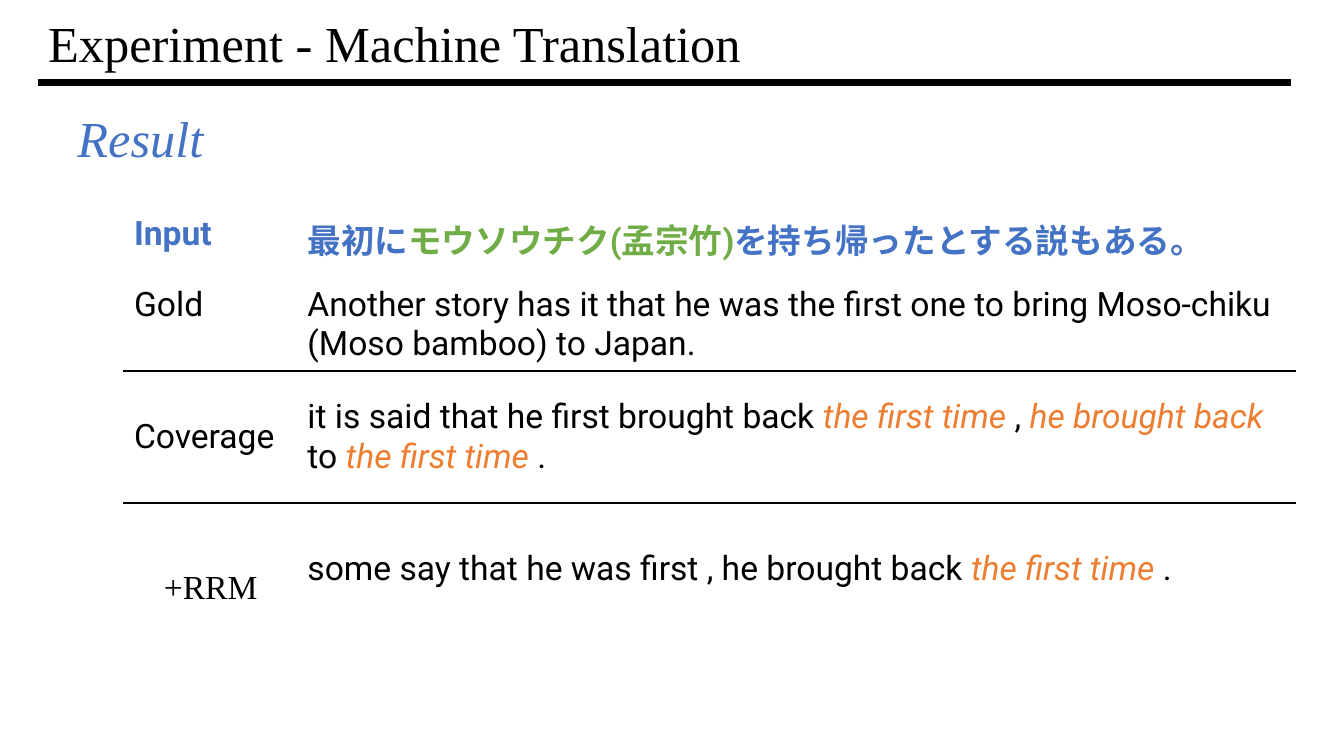
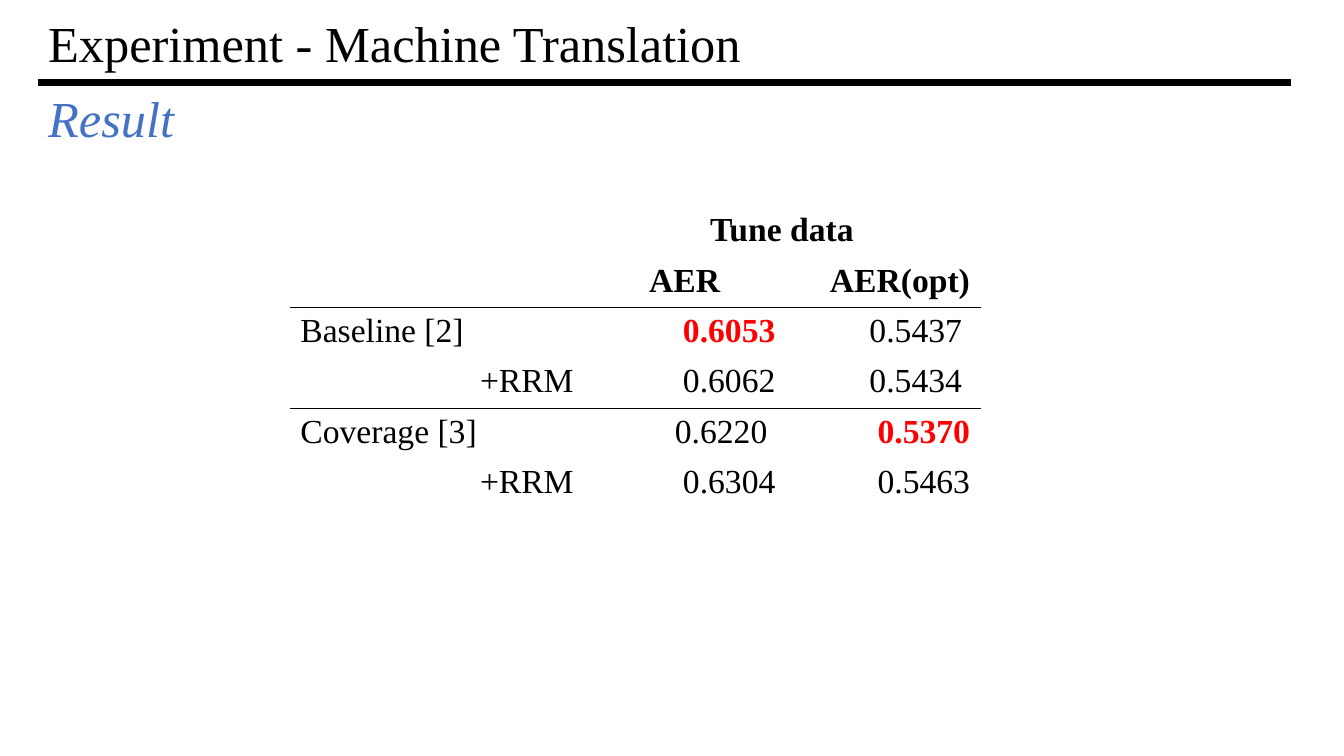
import pptx
import pptx.dml.color
import pptx.enum.shapes
import pptx.enum.text
import pptx.oxml
import pptx.oxml.ns
import pptx.util

Inches = pptx.util.Inches
ALIGN = pptx.enum.text.PP_ALIGN
ANCHOR = pptx.enum.text.MSO_ANCHOR
SERIF, SANS = "Times New Roman", "Roboto"
BLACK, WHITE, BLUE = "000000", "FFFFFF", "4472C4"
GREEN, ORANGE, RED = "70AD47", "ED7D31", "FF0000"


def color(value):
    return pptx.dml.color.RGBColor.from_string(value)


def write(frame, content, size=24, font=SERIF, ink=BLACK, bold=False, italic=False,
          align=ALIGN.LEFT, spacing=None):
    paragraph = frame.paragraphs[0]
    paragraph.alignment = align
    paragraph.line_spacing = spacing
    parts = [(content, {})] if isinstance(content, str) else content
    for words, changes in parts:
        look = {"ink": ink, "bold": bold, "italic": italic, **changes}
        run = paragraph.add_run()
        run.text = words
        run.font.size = pptx.util.Pt(size)
        run.font.name = font
        run.font.bold = look["bold"]
        run.font.italic = look["italic"]
        run.font.color.rgb = color(look["ink"])


def rule_cell(cell, side):
    border = pptx.oxml.parse_xml(
        f'<a:{side} {pptx.oxml.ns.nsdecls("a")} w="12700"><a:solidFill>'
        f'<a:srgbClr val="{BLACK}"/></a:solidFill></a:{side}>')
    properties = cell._tc.get_or_add_tcPr()
    position = 1 if properties.find(pptx.oxml.ns.qn("a:lnT")) is not None else 0
    properties.insert(position, border)


class Deck:
    def __init__(self):
        self.presentation = pptx.Presentation()
        self.presentation.slide_width = Inches(13.33)
        self.presentation.slide_height = Inches(7.5)
        self.slide = None

    def start(self, title):
        self.slide = self.presentation.slides.add_slide(self.presentation.slide_layouts[6])
        self.line(0.38, 0.82, 12.8, 0.82, 4.5)
        self.text(0.38, 0.18, 8.74, 0.56, title, size=36, spacing=0.9)

    def line(self, x1, y1, x2, y2, width):
        rule = self.slide.shapes.add_connector(
            pptx.enum.shapes.MSO_CONNECTOR.STRAIGHT,
            Inches(x1), Inches(y1), Inches(x2), Inches(y2))
        rule.line.color.rgb = color(BLACK)
        rule.line.width = pptx.util.Pt(width)
        rule._element.spPr.append(
            pptx.oxml.parse_xml(f'<a:effectLst {pptx.oxml.ns.nsdecls("a")}/>'))

    def text(self, x, y, width, height, content, **look):
        frame = self.slide.shapes.add_textbox(
            Inches(x), Inches(y), Inches(width), Inches(height)).text_frame
        frame.word_wrap = True
        frame.vertical_anchor = ANCHOR.MIDDLE
        write(frame, content, **look)

    def subtitle(self, x, y, content):
        self.text(x, y, 1.46, 0.71, content, size=36, ink=BLUE, italic=True)

    def table(self, x, y, widths, heights, ruled_rows):
        grid = self.slide.shapes.add_table(
            len(heights), len(widths), Inches(x), Inches(y),
            Inches(sum(widths)), Inches(sum(heights))).table
        grid.first_row = grid.horz_banding = False
        for column, width in zip(grid.columns, widths):
            column.width = Inches(width)
        for index, height in enumerate(heights):
            grid.rows[index].height = Inches(height)
            for cell in grid.rows[index].cells:
                cell.fill.solid()
                cell.fill.fore_color.rgb = color(WHITE)
                if index - 1 in ruled_rows:
                    rule_cell(cell, "lnT")
                if index in ruled_rows:
                    rule_cell(cell, "lnB")
        return grid


def build_examples(deck):
    deck.start("Experiment - Machine Translation")
    deck.subtitle(0.67, 1.01, "Result")
    repeated = {"ink": ORANGE, "italic": True}
    heading = {"ink": BLUE, "bold": True}
    examples = [
        ("Input", [("最初に", {}), ("モウソウチク(孟宗竹)", {"ink": GREEN}),
                   ("を持ち帰ったとする説もある。", {})], heading),
        ("Gold", "Another story has it that he was the first one to bring "
                 "Moso-chiku (Moso bamboo) to Japan.", {}),
        ("Coverage", [("it is said that he first brought back ", {}),
                      ("the first time ", repeated), (", ", {}),
                      ("he brought back ", repeated), ("to ", {}),
                      ("the first time ", repeated), (".", {})], {}),
        ("+RRM", [("some say that he was first , he brought back ", {}),
                  ("the first time ", repeated), (".", {})], {}),
    ]
    grid = deck.table(1.23, 2.08, [1.72, 9.9], [0.7, 0.88, 1.31, 1.31], (1, 2))
    for index, (system, sentence, look) in enumerate(examples):
        label, output = grid.rows[index].cells
        if index >= 2:
            label.vertical_anchor = output.vertical_anchor = ANCHOR.MIDDLE
        if system == "+RRM":
            label.margin_top = Inches(0.42)
            write(label.text_frame, system, align=ALIGN.CENTER)
        else:
            write(label.text_frame, system, font=SANS, **look)
        write(output.text_frame, sentence, font=SANS, **look)


def build_scores(deck):
    deck.start("Experiment - Machine Translation")
    deck.subtitle(0.38, 0.81, "Result")
    grid = deck.table(2.88, 2.05, [2.91, 2, 1.93], [0.5] * 6, (1, 3))
    grid.cell(0, 1).merge(grid.cell(0, 2))
    headings = [(0, 1, "Tune data", ALIGN.CENTER), (1, 1, "AER", ALIGN.CENTER),
                (1, 2, "AER(opt)", ALIGN.RIGHT)]
    for row, column, heading, align in headings:
        write(grid.cell(row, column).text_frame, heading, bold=True, align=align)
    scores = [("Baseline [2]", "0.6053", "0.5437"), ("+RRM", "0.6062", "0.5434"),
              ("Coverage [3]", "0.6220", "0.5370"), ("+RRM", "0.6304", "0.5463")]
    best = ("0.6053", "0.5370")
    indented = ("0.5437", "0.5434", "0.6220")
    for row, (system, *values) in enumerate(scores, 2):
        write(grid.cell(row, 0).text_frame, system,
              align=ALIGN.RIGHT if system == "+RRM" else ALIGN.LEFT)
        for column, value in enumerate(values, 1):
            cell = grid.cell(row, column)
            if value in indented:
                cell.margin_right = Inches(0.18)
            write(cell.text_frame, value, align=ALIGN.RIGHT, bold=value in best,
                  ink=RED if value in best else BLACK)


def main():
    deck = Deck()
    build_examples(deck)
    build_scores(deck)
    deck.presentation.save("out.pptx")


if __name__ == "__main__":
    main()
